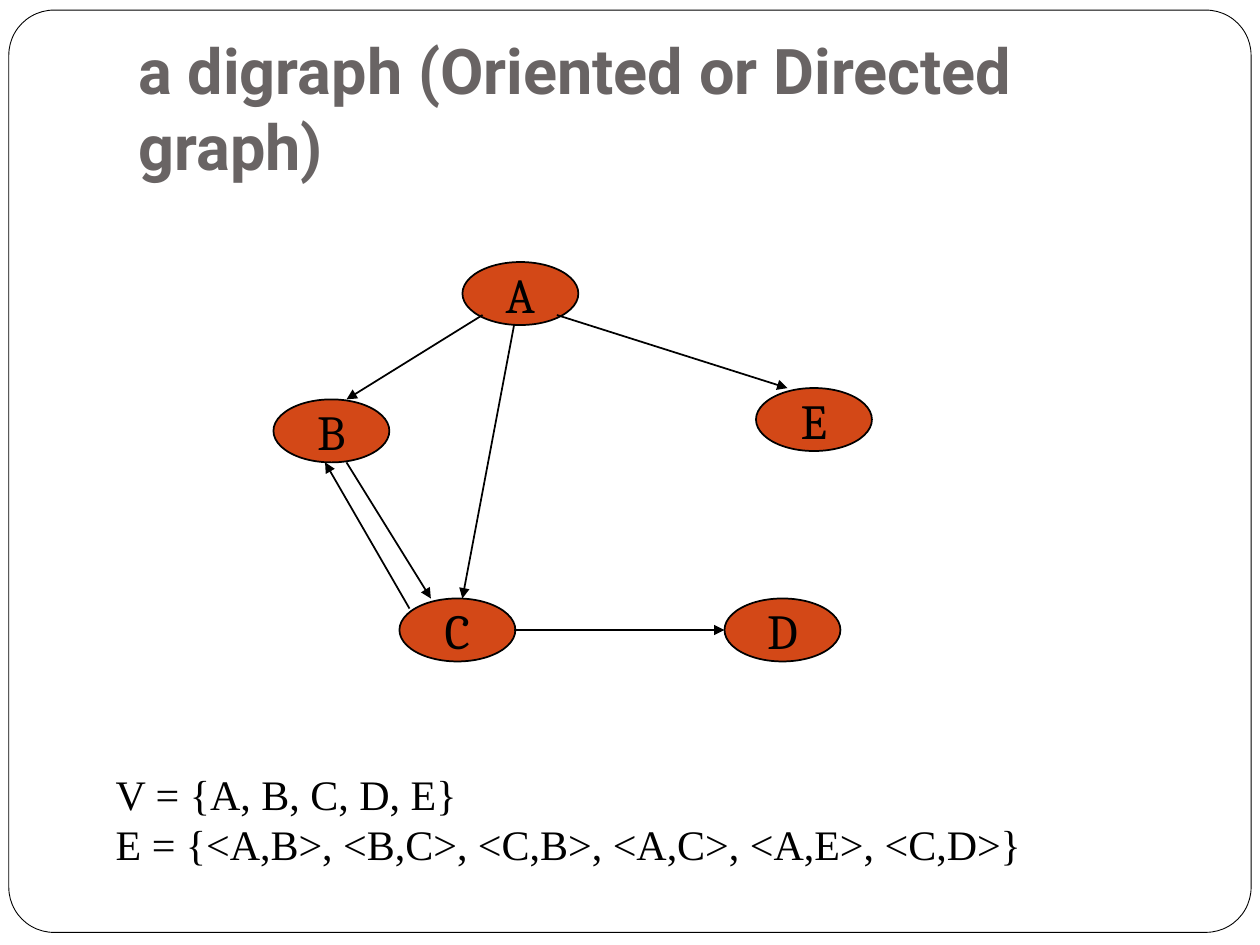
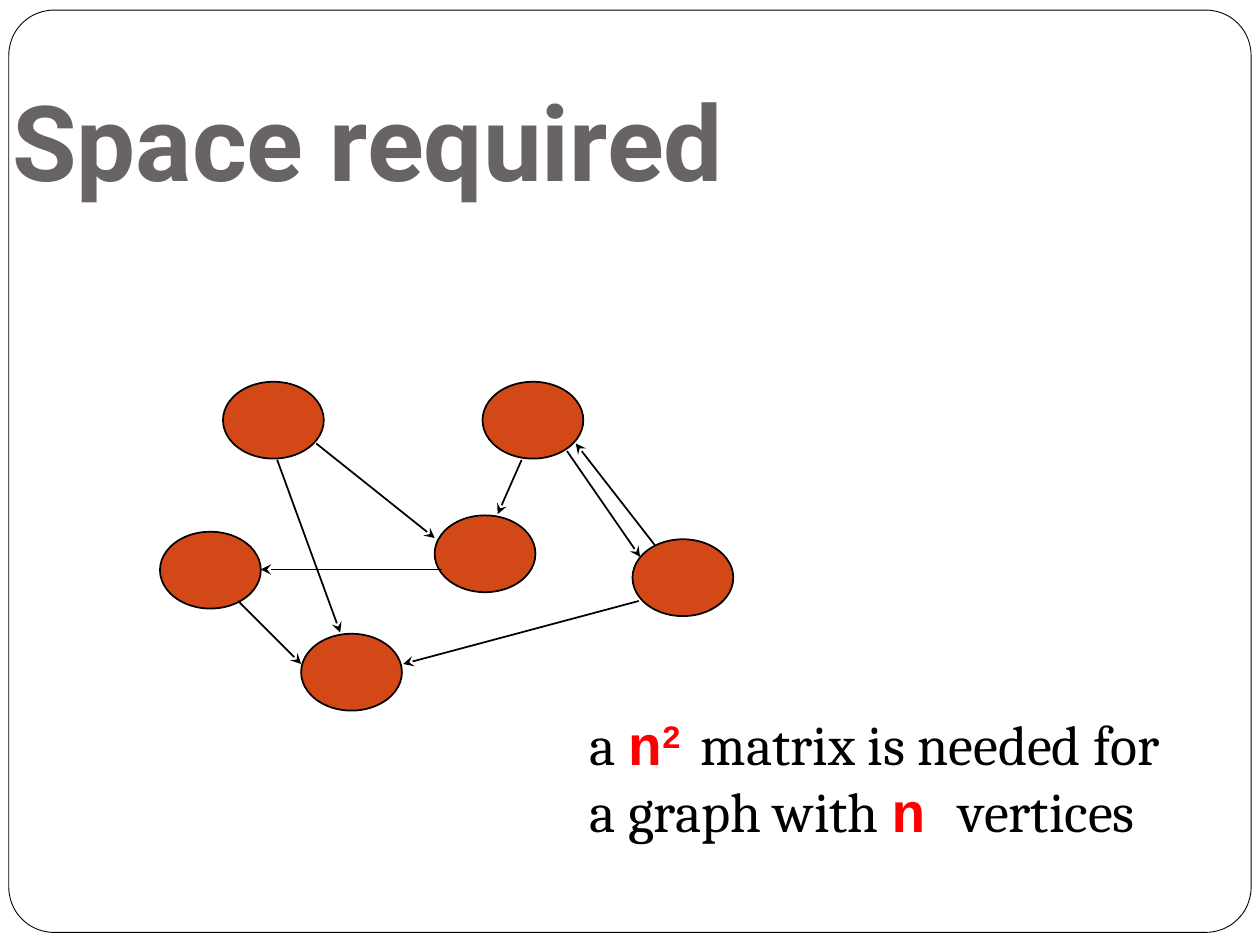
from dataclasses import dataclass

from lxml import etree
from pptx import Presentation
from pptx.dml.color import RGBColor
from pptx.enum.shapes import MSO_CONNECTOR as Connector, MSO_SHAPE as Shape
from pptx.enum.text import MSO_ANCHOR as Anchor, PP_ALIGN as Align
from pptx.oxml.ns import qn
from pptx.util import Inches, Pt


@dataclass(frozen=True)
class Theme:
    paper: RGBColor = RGBColor(0xFF, 0xFF, 0xFF)
    ink: RGBColor = RGBColor(0, 0, 0)
    title: RGBColor = RGBColor(0x69, 0x64, 0x64)
    vertex: RGBColor = RGBColor(0xD3, 0x48, 0x17)
    accent: RGBColor = RGBColor(0xFF, 0, 0)
    title_font: str = "Roboto"
    body_font: str = "Cambria"
    set_font: str = "Times New Roman"
    symbol_font: str = "Courier New"
    title_size: int = 36
    large_title_size: int = 60
    label_size: int = 28
    set_size: int = 24
    note_size: int = 32
    frame_line: float = 0.5
    graph_line: float = 1


THEME = Theme()


def add_run(paragraph, text, font, size, color=THEME.ink, bold=False, baseline=None):
    run = paragraph.add_run()
    run.text = text
    run.font.name = font
    run.font.size = Pt(size)
    run.font.bold = bold
    run.font.color.rgb = color
    if baseline:
        run.font._element.set("baseline", str(baseline * 1000))


def add_text_box(slide, left, top, width, height, wrap=False):
    box = slide.shapes.add_textbox(Inches(left), Inches(top), Inches(width), Inches(height))
    box.text_frame.word_wrap = wrap
    return box.text_frame


def add_paragraphs(frame, lines):
    """Each line is a list of runs; each run is the arguments of add_run."""
    for index, runs in enumerate(lines):
        paragraph = frame.add_paragraph() if index else frame.paragraphs[0]
        for run in runs:
            add_run(paragraph, *run)


def add_outlined(slide, kind, left, top, width, height, fill, line_width):
    shape = slide.shapes.add_shape(kind, Inches(left), Inches(top), Inches(width), Inches(height))
    shape.shadow.inherit = False
    shape.fill.solid()
    shape.fill.fore_color.rgb = fill
    shape.line.color.rgb = THEME.ink
    shape.line.width = Pt(line_width)
    return shape


def add_framed_slide(presentation):
    slide = presentation.slides.add_slide(presentation.slide_layouts[6])
    frame = add_outlined(slide, Shape.ROUNDED_RECTANGLE, 0.07, 0.08, 9.86, 7.32,
                         THEME.paper, THEME.frame_line)
    frame.adjustments[0] = 0.049
    return slide


def add_title(slide, text, left, top, width, height, size):
    frame = add_text_box(slide, left, top, width, height, wrap=True)
    frame.vertical_anchor = Anchor.BOTTOM
    frame.margin_bottom = Inches(0.1)
    add_run(frame.paragraphs[0], text, THEME.title_font, size, THEME.title, True)


def add_vertex(slide, left, top, width, height, label=""):
    vertex = add_outlined(slide, Shape.OVAL, left, top, width, height,
                          THEME.vertex, THEME.graph_line)
    if label:
        frame = vertex.text_frame
        frame.word_wrap = False
        frame.vertical_anchor = Anchor.MIDDLE
        frame.paragraphs[0].alignment = Align.CENTER
        add_run(frame.paragraphs[0], label, THEME.body_font, THEME.label_size)


def add_edge(slide, start, end, arrowhead):
    points = [Inches(value) for value in (*start, *end)]
    edge = slide.shapes.add_connector(Connector.STRAIGHT, *points)
    edge.line.color.rgb = THEME.ink
    edge.line.width = Pt(THEME.graph_line)
    etree.SubElement(edge.line._get_or_add_ln(), qn("a:tailEnd"), type=arrowhead)
    etree.SubElement(edge._element.spPr, qn("a:effectLst"))


def build_digraph_slide(presentation):
    slide = add_framed_slide(presentation)
    add_title(slide, "a digraph (Oriented or Directed graph)", 1, 0.3, 8.5, 1.25,
              THEME.title_size)

    # Labelled vertices
    vertices = {"A": (3.67, 2.08), "B": (2.17, 3.17), "C": (3.17, 4.75),
                "D": (5.75, 4.75), "E": (6, 3.08)}
    for label, (left, top) in vertices.items():
        add_vertex(slide, left, top, 0.92, 0.5, label)

    # Directed edges
    edges = [
        ((3.83, 2.5), (2.75, 3.17)),   # A to B
        ((4.42, 2.5), (6.25, 3.08)),   # A to E
        ((4.08, 2.58), (3.67, 4.75)),  # A to C
        ((4.08, 5), (5.75, 5)),        # C to D
        ((2.75, 3.67), (3.42, 4.75)),  # B to C
        ((3.25, 4.83), (2.58, 3.67)),  # C to B
    ]
    for start, end in edges:
        add_edge(slide, start, end, "triangle")

    # Vertex set and edge set
    sets = ["V = {A, B, C, D, E}",
            "E = {<A,B>, <B,C>, <C,B>, <A,C>, <A,E>, <C,D>}"]
    add_paragraphs(add_text_box(slide, 0.82, 6.05, 7.47, 0.91),
                   [[(text, THEME.set_font, THEME.set_size)] for text in sets])


def build_space_slide(presentation):
    slide = add_framed_slide(presentation)
    add_title(slide, "Space required", 0, 0.5, 10, 1.21, THEME.large_title_size)

    # Unlabelled vertices
    vertices = [(1.77, 3.03), (3.83, 3.03), (5.02, 4.28),
                (3.45, 4.09), (2.39, 5.03), (1.27, 4.22)]
    for left, top in vertices:
        add_vertex(slide, left, top, 0.8, 0.61)

    # Directed edges
    edges = [
        ((2.51, 3.52), (3.45, 4.27)),
        ((2.2, 3.65), (2.7, 5.02)),
        ((4.14, 3.65), (3.95, 4.08)),
        ((5.2, 4.33), (4.57, 3.52)),
        ((5.07, 4.77), (3.2, 5.27)),
        ((3.51, 4.52), (2.07, 4.52)),
        ((1.89, 4.77), (2.39, 5.27)),
        ((4.5, 3.58), (5.08, 4.42)),
    ]
    for start, end in edges:
        add_edge(slide, start, end, "stealth")

    # Matrix size note
    plain = (THEME.body_font, THEME.note_size)
    symbol = (THEME.symbol_font, THEME.note_size, THEME.accent, True)
    add_paragraphs(add_text_box(slide, 4.58, 5.58, 5.06, 1.18), [
        [("a ", *plain), ("n", *symbol), ("2 ", *symbol, 30),
         ("matrix is needed for", *plain)],
        [("a graph with ", *plain), ("n ", *symbol), ("vertices", *plain)],
    ])


def main():
    presentation = Presentation()
    presentation.slide_width = Inches(10)
    presentation.slide_height = Inches(7.5)
    build_digraph_slide(presentation)
    build_space_slide(presentation)
    presentation.save("out.pptx")


if __name__ == "__main__":
    main()
